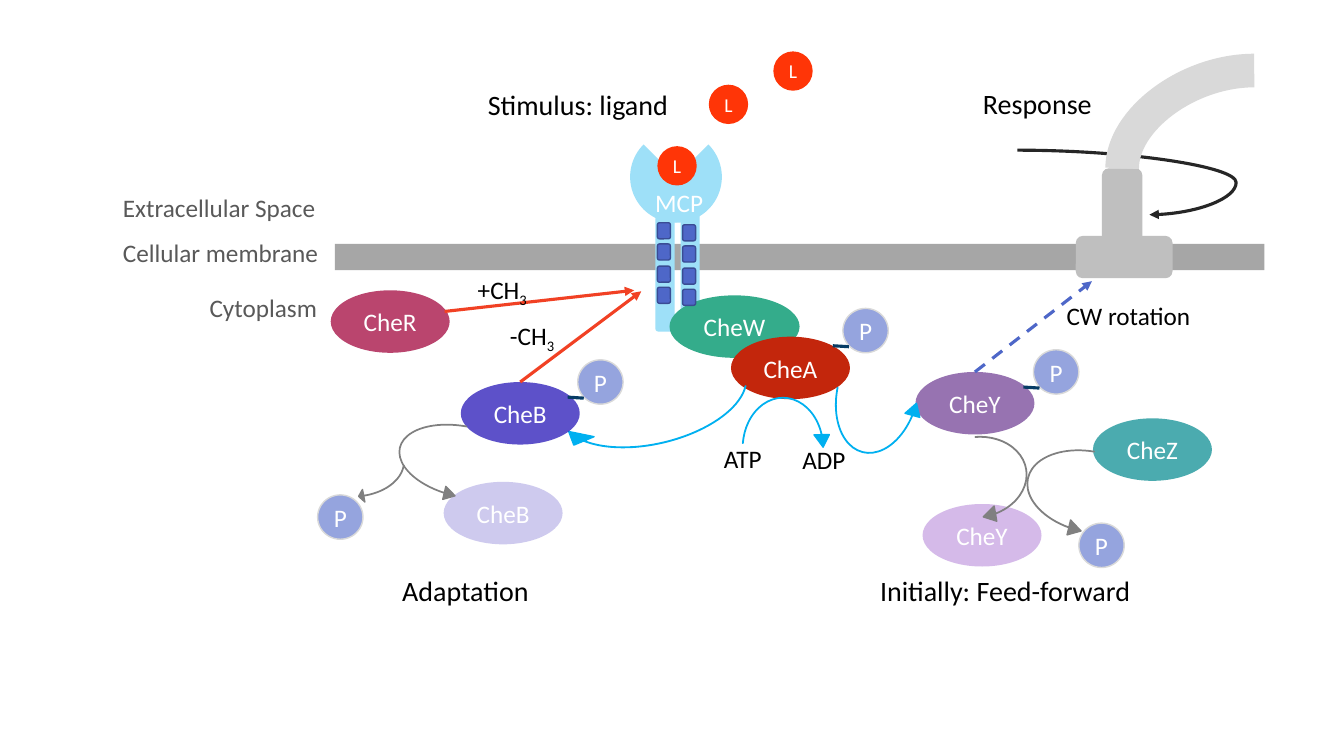
from dataclasses import dataclass

from lxml import etree
from pptx import Presentation
from pptx.dml.color import RGBColor
from pptx.enum.dml import MSO_LINE
from pptx.enum.shapes import MSO_CONNECTOR, MSO_SHAPE
from pptx.enum.text import MSO_ANCHOR, MSO_AUTO_SIZE, PP_ALIGN
from pptx.oxml.ns import qn
from pptx.util import Pt

OVAL, RECT, ROUND = MSO_SHAPE.OVAL, MSO_SHAPE.RECTANGLE, MSO_SHAPE.ROUNDED_RECTANGLE
PIE, ARC = MSO_SHAPE.PIE, MSO_SHAPE.CIRCULAR_ARROW
LINE, CURVE = MSO_CONNECTOR.STRAIGHT, MSO_CONNECTOR.CURVE
DASH, MIDDLE, CENTER = MSO_LINE.DASH, MSO_ANCHOR.MIDDLE, PP_ALIGN.CENTER
GROW = MSO_AUTO_SIZE.SHAPE_TO_FIT_TEXT
PX = 9144  # EMU per px, 100 px to the inch
TOP = 0


@dataclass(frozen=True)
class Theme:
    font: str = "Calibri"
    small: int = 14
    body: int = 18
    head: int = 20
    thin: float = 1
    thick: float = 2.25
    tail: float = 24
    white: str = "FFFFFF"
    black: str = "000000"
    label: str = "595959"
    bar: str = "A6A6A6"
    motor: str = "BFBFBF"
    pale: str = "D9D9D9"
    spin: str = "262626"
    grey: str = "808080"
    sky: str = "00B0F0"
    mcp: str = "9EE0F8"
    ligand: str = "FF3507"
    helix: str = "4E67C8"
    edge: str = "3A4C94"
    phos: str = "95A4DE"
    bond: str = "073C65"
    methyl: str = "F14124"
    che_a: str = "C3260C"
    che_b: str = "2111B6"
    che_r: str = "A10039"
    che_w: str = "34AC8B"
    che_y: str = "9773B1"
    idle_y: str = "BC91DD"
    che_z: str = "4BABAF"


T = Theme()


def style(par, size, color):
    par.font.name, par.font.size = T.font, Pt(size)
    par.font.color.rgb = RGBColor.from_string(color)


@dataclass
class Box:
    """A region of the slide; its parts are placed from its top left corner."""
    shapes: object
    x: int
    y: int

    def spot(self, x, y):
        return (self.x + x) * PX, (self.y + y) * PX

    def shape(self, kind, x, y, w, h, fill, line=None, text="", size=T.body, alpha=100):
        item = self.shapes.add_shape(kind, *self.spot(x, y), w * PX, h * PX)
        item.shadow.inherit = False
        item.fill.solid()
        item.fill.fore_color.rgb = RGBColor.from_string(fill)
        if alpha < 100:
            tint = item.fill._xPr.find(".//" + qn("a:srgbClr"))
            etree.SubElement(tint, qn("a:alpha"), val=str(alpha * 1000))
        if line:
            item.line.color.rgb = RGBColor.from_string(line)
            item.line.width = Pt(T.thin)
        else:
            item.line.fill.background()
        if text:
            frame = item.text_frame
            frame.margin_left = frame.margin_right = 0
            frame.margin_top = frame.margin_bottom = 0
            frame.vertical_anchor = MIDDLE
            par = frame.paragraphs[0]
            par.text, par.alignment = text, CENTER
            style(par, size, T.white)
        return item

    def arc(self, x, y, w, h, color, turn=0, flip=False, tip=10.68, start=112.15, head=0.08):
        item = self.shape(ARC, x, y, w, h, color, color)
        for i, value in enumerate((0.004, tip, 204.58, start, head)):
            item.adjustments[i] = value
        item.rotation = turn
        if flip:
            item._element.spPr.xfrm.set("flipV", "1")

    def link(self, x1, y1, x2, y2, color, width=T.thick, kind=LINE, arrow=False, dash=None):
        item = self.shapes.add_connector(kind, *self.spot(x1, y1), *self.spot(x2, y2))
        item.line.color.rgb = RGBColor.from_string(color)
        item.line.width = Pt(width)
        if dash:
            item.line.dash_style = dash
        if arrow:
            etree.SubElement(item.line._ln, qn("a:tailEnd"), type="triangle")
        etree.SubElement(item._element.spPr, qn("a:effectLst"))
        return item

    def note(self, text, x, y, w, size=T.body, color=T.black, sub=""):
        item = self.shapes.add_textbox(*self.spot(x, y), w * PX, (size * 2 + 4) * PX)
        frame = item.text_frame
        frame.word_wrap, frame.auto_size = True, GROW
        par = frame.paragraphs[0]
        par.add_run().text = text
        if sub:
            run = par.add_run()
            run.text = sub
            run.font._element.set("baseline", "-25000")
        style(par, size, color)

    def enzyme(self, name, x, y, fill, alpha=100, w=118):
        return self.shape(OVAL, x, y, w, 62, fill, text=name, alpha=alpha)

    def badge(self, x, y, bond=True):
        """Phosphate circle, with the short bond to its enzyme."""
        self.shape(OVAL, x, y, 45, 44, T.phos, T.pale, "P")
        if bond:
            self.link(x - 10, y + 37, x + 6, y + 38, T.bond)


def membrane(box):
    box.shape(RECT, 220, 56, 922, 26, T.bar)
    for text, x, y in (("Extracellular Space", 0, 0), ("Cellular membrane", 0, 45),
                       ("Cytoplasm", 86, 99)):
        box.note(text, x, y, 255, color=T.label)


def receptor(box):
    box.shape(PIE, 151, 80, 91, 91, T.mcp).rotation = 315
    for x, y in ((176, 164), (201, 161)):
        box.shape(ROUND, x, y, 19, 115, T.mcp)
    for x, y in ((178, 95), (229, 34), (293, 1)):
        box.shape(OVAL, x, y, 39, 39, T.ligand, text="L", size=T.small)
    box.note("MCP", 166, 131, 101, color=T.white)
    box.note("Stimulus: ligand", 0, 32, 255, T.head)


def kinase(box):
    box.enzyme("CheW", 0, 0, T.che_w, w=129)
    box.enzyme("CheA", 61, 41, T.che_a)
    box.badge(172, 13)
    box.arc(65, 94, 95, 115, T.sky)
    box.note("ATP", 44, 142, 68)
    box.note("ADP", 122, 143, 68)


def helix(box):
    for x, y in ((25, 2), (0, 0)):
        for i in range(4):
            box.shape(ROUND, x, y + i * 43 // 2, 13, 16, T.helix, T.edge)


def adapt(box):
    """Methylation and the CheB feedback loop."""
    box.arc(228, 69, 210, 115, T.sky, 166.5, tip=6.09, head=0.095)
    che_b = box.enzyme("CheB", 142, 112, T.che_b, 73)
    box.enzyme("CheB", 125, 211, T.che_b, 22)
    box.badge(258, 90)
    box.arc(-7, 133, 82, 116, T.grey, 90, tip=4.88, start=164.53, head=0.077)
    box.arc(103, 120, 83, 142, T.grey, 102.2, True)
    box.badge(0, 224, False)
    box.link(201, 112, 321, 22, T.methyl, arrow=True).begin_connect(che_b, TOP)
    box.enzyme("CheR", 13, 21, T.che_r, 73)
    box.link(126, 42, 314, 21, T.methyl, arrow=True)
    box.note("+CH", 149, 0, 114, sub="3")
    box.note("-CH", 181, 46, 114, sub="3")
    box.note("Adaptation", 74, 297, 195, T.head)


def forward(box):
    """CheY signalling to the motor, and its reset by CheZ."""
    che_y = box.enzyme("CheY", 85, 90, T.che_y)
    box.badge(202, 68)
    box.enzyme("CheY", 92, 221, T.idle_y, 62)
    box.enzyme("CheZ", 261, 136, T.che_z)
    box.arc(98, 137, 95, 115, T.grey, 81.5)
    box.arc(211, 138, 95, 142, T.grey, 102.2, True)
    box.badge(247, 240, False)
    box.arc(0, 42, 95, 137, T.sky, 14.2, True)
    box.link(144, 90, 260, 0, T.helix, arrow=True, dash=DASH).begin_connect(che_y, TOP)
    box.note("CW rotation", 225, 14, 229)
    box.note("Initially: Feed-forward", 40, 285, 300, T.head)


def motor(box):
    spin = box.link(44, 96, 175, 160, T.spin, kind=CURVE, arrow=True)
    bend = spin._element.spPr.prstGeom.get_or_add_avLst()
    etree.SubElement(bend, qn("a:gd"), name="adj1", fmla="val 165700")
    box.shape(ROUND, 128, 114, 40, 75, T.motor)
    box.shape(ROUND, 102, 181, 96, 42, T.motor)
    tail = box.link(279, 17, 148, 114, T.pale, T.tail, CURVE)
    tail._element.spPr.prstGeom.set("prst", "curvedConnector2")
    box.note("Response", 0, 28, 146, T.head)


def main():
    deck = Presentation()
    deck.slide_width, deck.slide_height = 1333 * PX, 750 * PX
    shapes = deck.slides.add_slide(deck.slide_layouts[6]).shapes
    for region, x, y in ((membrane, 112, 186), (receptor, 474, 50), (kinase, 664, 293),
                         (helix, 652, 221), (adapt, 315, 267), (forward, 823, 279),
                         (motor, 965, 53)):
        region(Box(shapes, x, y))
    deck.save("out.pptx")


if __name__ == "__main__":
    main()
